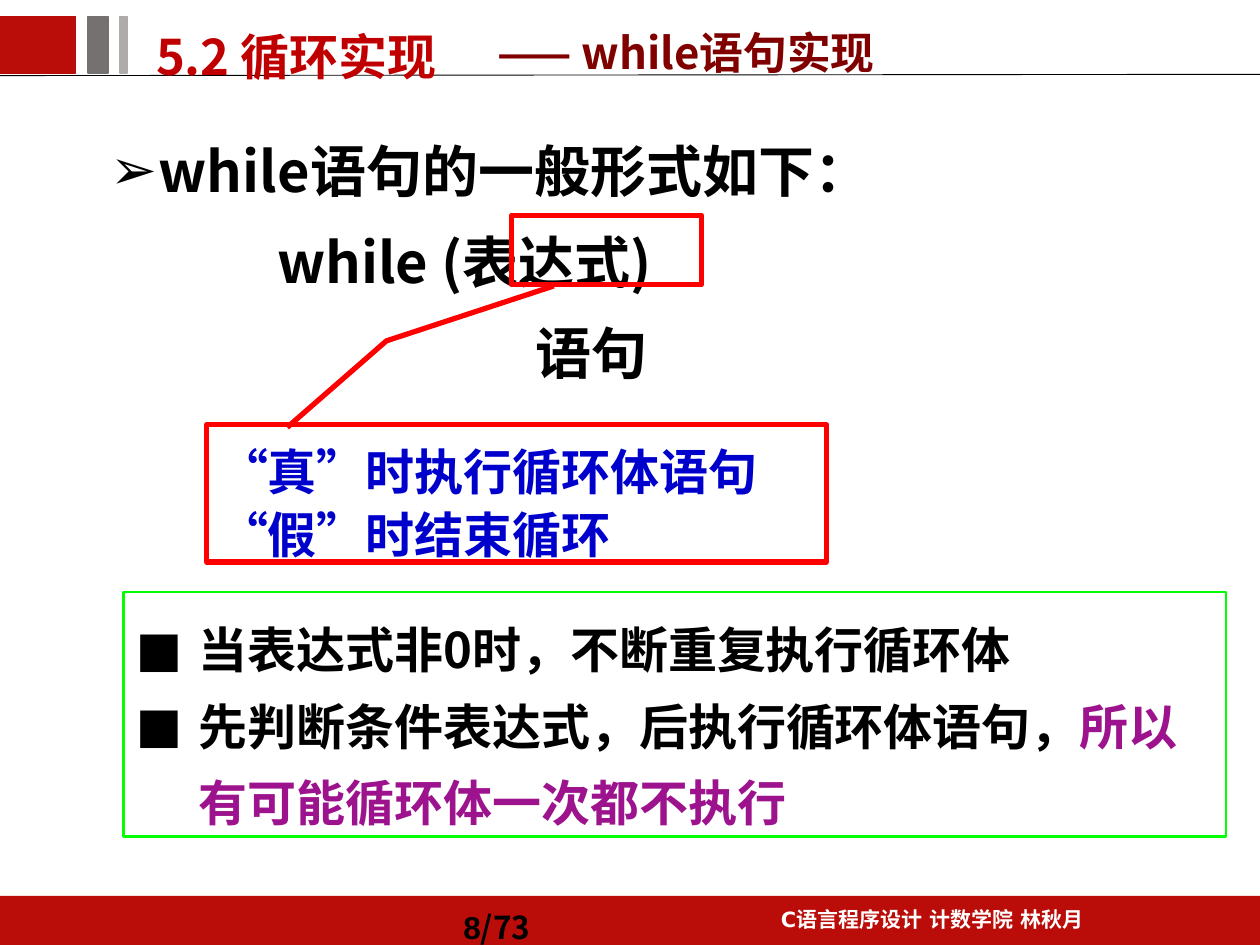
"""Build the slide on the while statement."""
from lxml import etree
from pptx import Presentation
from pptx.dml.color import RGBColor
from pptx.enum.shapes import MSO_CONNECTOR, MSO_SHAPE
from pptx.enum.text import MSO_ANCHOR, PP_ALIGN
from pptx.oxml.ns import qn
from pptx.util import Inches, Pt

BRAND_RED = RGBColor(0xBA, 0x0D, 0x09)
TITLE_RED = RGBColor(0xC0, 0x00, 0x00)
DARK_RED = RGBColor(0x80, 0x00, 0x00)
RED = RGBColor(0xFF, 0x00, 0x00)
GREEN = RGBColor(0x00, 0xFF, 0x00)
BLUE = RGBColor(0x00, 0x00, 0xCC)
PURPLE = RGBColor(0x9D, 0x13, 0x8D)
DARK_GRAY = RGBColor(0x76, 0x71, 0x71)
LIGHT_GRAY = RGBColor(0xAF, 0xAB, 0xAB)
WHITE = RGBColor(0xFF, 0xFF, 0xFF)
BLACK = RGBColor(0x00, 0x00, 0x00)
NOTO = "Noto Sans CJK SC"

presentation = Presentation()
presentation.slide_width = Inches(10)
presentation.slide_height = Inches(7.5)
slide = presentation.slides.add_slide(presentation.slide_layouts[6])


def add_box(kind, left, top, width, height, fill=None, line=None, weight=1):
    shape = slide.shapes.add_shape(
        kind, Inches(left), Inches(top), Inches(width), Inches(height))
    shape.shadow.inherit = False
    if fill is None:
        shape.fill.background()
    else:
        shape.fill.solid()
        shape.fill.fore_color.rgb = fill
    if line is None:
        shape.line.fill.background()
    else:
        shape.line.color.rgb = line
        shape.line.width = Pt(weight)
    return shape


def add_text(frame, paragraphs, size, color, font=NOTO, spacing=30, align=PP_ALIGN.LEFT,
             anchor=MSO_ANCHOR.TOP, top=0.05, bottom=0.05, wrap=True):
    """Each paragraph is (runs, left margin, bullet, space before, line spacing)."""
    frame.word_wrap = wrap
    frame.vertical_anchor = anchor
    frame.margin_top, frame.margin_bottom = Inches(top), Inches(bottom)
    for index, item in enumerate(paragraphs):
        runs, margin, bullet, before, line = (*item, *(None, None, 0, None)[len(item) - 1:])
        paragraph = frame.paragraphs[0] if index == 0 else frame.add_paragraph()
        paragraph.alignment = align
        paragraph.line_spacing = Pt(line or spacing)
        paragraph.space_before = Pt(before)
        properties = paragraph._p.get_or_add_pPr()
        if margin:
            properties.set("marL", str(Inches(margin)))
        if bullet:
            properties.set("indent", str(-Inches(margin)))
            etree.SubElement(properties, qn("a:buFont")).set("typeface", "DejaVu Sans")
            etree.SubElement(properties, qn("a:buChar")).set("char", bullet)
        for text, changes in runs:
            run = paragraph.add_run()
            run.text = text
            run.font.size = Pt(size)
            run.font.bold = True
            run.font.color.rgb = changes.get("color", color)
            run.font.name = changes.get("font", font)
            east_asian = etree.SubElement(run._r.get_or_add_rPr(), qn("a:ea"))
            east_asian.set("typeface", run.font.name)


def text_frame(left, top, width, height):
    return slide.shapes.add_textbox(
        Inches(left), Inches(top), Inches(width), Inches(height)).text_frame


add_box(MSO_SHAPE.RECTANGLE, 0, 7.11, 10, 0.39, BRAND_RED)
add_text(text_frame(5.63, 7.11, 3.54, 0.34), [([("C语言程序设计 计数学院 林秋月", {})],)],
         12, WHITE, font="DejaVu Sans", spacing=17, align=PP_ALIGN.CENTER)

header_line = slide.shapes.add_connector(
    MSO_CONNECTOR.STRAIGHT, Inches(0), Inches(0.6), Inches(10), Inches(0.59))
header_line.line.color.rgb = BLACK
header_line.line.width = Pt(0.5)
etree.SubElement(header_line._element.spPr, qn("a:effectLst"))

for left, width, color in [(0, 0.6, BRAND_RED), (0.7, 0.16, DARK_GRAY), (0.95, 0.06, LIGHT_GRAY)]:
    add_box(MSO_SHAPE.RECTANGLE, left, 0.13, width, 0.45, color, color)

add_text(text_frame(3.58, 7.11, 1.42, 0.39), [([("8", {"font": "Arial"}), ("/73", {})],)],
         18, BLACK, spacing=22, anchor=MSO_ANCHOR.MIDDLE, top=0.14)
add_text(text_frame(1.14, 0.03, 5.55, 0.62), [([("5.2 循环实现", {})],)],
         28, TITLE_RED, spacing=40, top=0.09)

add_text(text_frame(0.78, 0.79, 8.52, 1.8), [
    ([("while语句的一般形式如下：", {})], 0.38, "➢", 0, 54),
    ([("while (表达式)", {})], 1.32, None, 6),
    ([("语句", {})], 3.37, None, 6),
], 32, BLACK, spacing=46, top=0.08)

add_box(MSO_SHAPE.RECTANGLE, 4.06, 1.71, 1.51, 0.55, line=RED, weight=3)

callout = add_box(MSO_SHAPE.LINE_CALLOUT_2, 1.64, 3.37, 4.92, 1.09, WHITE, RED, 3)
for index, value in enumerate([0.02, 0.13, -0.61, 0.29, -1.01, 0.56]):
    callout.adjustments[index] = value
add_text(callout.text_frame, [([("“真”时执行循环体语句", {})],), ([("“假”时结束循环", {})],)],
         28, BLUE, spacing=36.5, top=0.09, wrap=False)

summary = add_box(MSO_SHAPE.RECTANGLE, 0.98, 4.7, 8.75, 1.94, WHITE, GREEN, 1.5)
add_text(summary.text_frame, [
    ([("当表达式非0时，不断重复执行循环体", {})], 0.5, "■"),
    ([("先判断条件表达式，后执行循环体语句，", {}),
      ("所以有可能循环体一次都不执行", {"color": PURPLE})], 0.5, "■"),
], 28, BLACK, spacing=43.7, top=0.08)

add_text(text_frame(3.85, 0.13, 3.35, 0.52), [([("—— while语句实现", {})],)],
         25, DARK_RED, anchor=MSO_ANCHOR.BOTTOM, bottom=0.03)

presentation.save("out.pptx")
